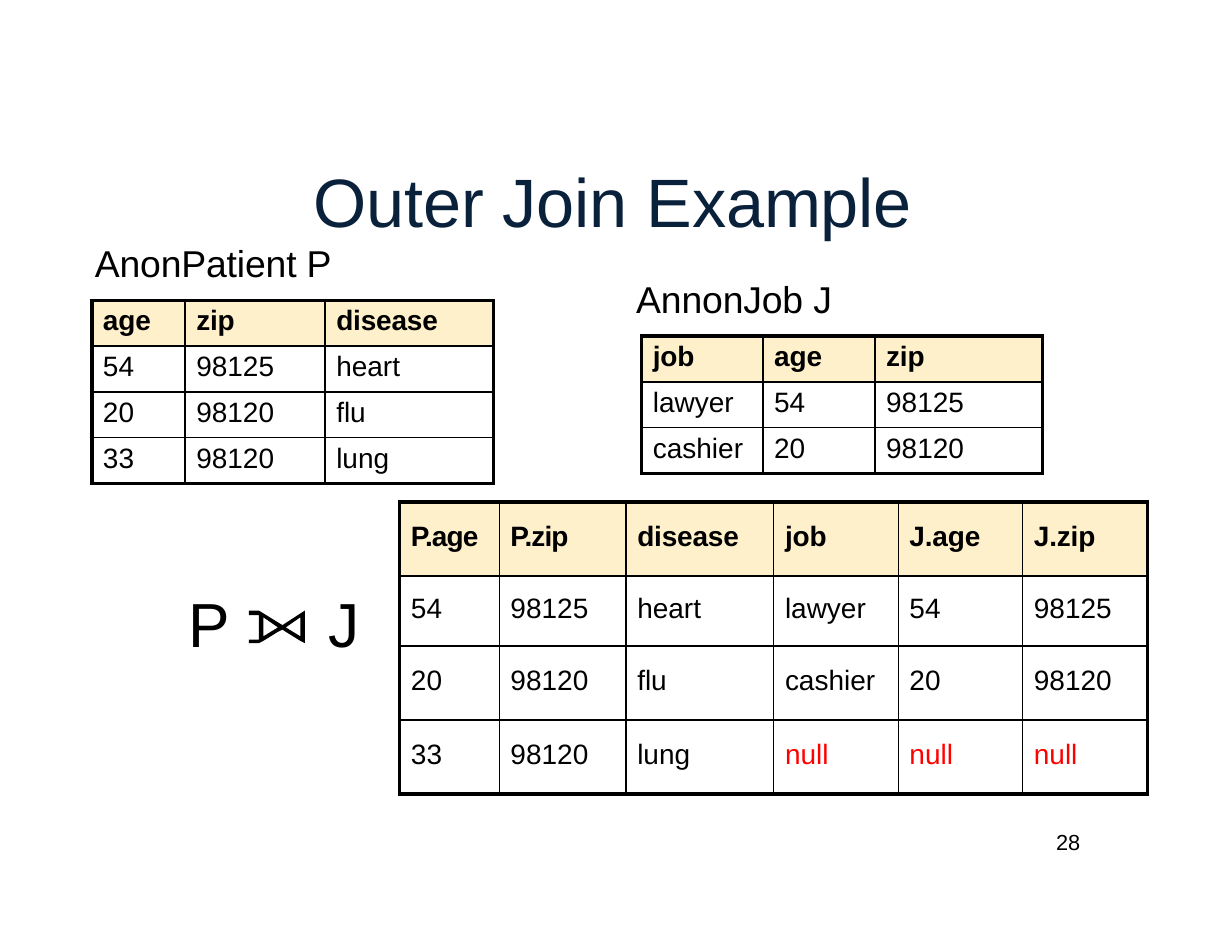
"""Build the outer join example slide: two source tables and their join."""
import pptx
import pptx.dml.color
import pptx.enum.text
import pptx.oxml.ns
import pptx.util
from lxml import etree

Pt = pptx.util.Pt
RGB = pptx.dml.color.RGBColor
ANCHOR = pptx.enum.text.MSO_ANCHOR
qn = pptx.oxml.ns.qn
BLACK = RGB(0x00, 0x00, 0x00)
NAVY = RGB(0x09, 0x21, 0x3B)
CREAM = RGB(0xFF, 0xF0, 0xCC)
RED = RGB(0xFF, 0x00, 0x00)


def style(frame, size, color=BLACK, space=0, bold=False):
    """Format the text of a frame without side margins."""
    frame.margin_left = frame.margin_right = frame.margin_bottom = 0
    for run in frame.paragraphs[0].runs:
        run.font.name = "Arial"
        run.font.size = Pt(size)
        run.font.bold = bold
        run.font.color.rgb = color
        run.font._element.set("spc", str(space))


def edge(cell, side, width):
    """Draw one black border of a cell."""
    props = cell._tc.get_or_add_tcPr()
    line = etree.Element(qn("a:ln" + side), w=str(Pt(width)))
    fill = etree.SubElement(line, qn("a:solidFill"))
    etree.SubElement(fill, qn("a:srgbClr"), val=str(BLACK))
    props.insert("LRTB".index(side), line)


deck = pptx.Presentation()
deck.slide_width, deck.slide_height = Pt(792), Pt(612)
slide = deck.slides.add_slide(deck.slide_layouts[5])

title = slide.shapes.title
title.left, title.top, title.width, title.height = Pt(201.5), Pt(100), Pt(389), Pt(55)
frame = title.text_frame
frame.text = "Outer Join Example"
frame.margin_top = 0
frame.word_wrap = False
frame.vertical_anchor = ANCHOR.BOTTOM
frame.paragraphs[0].alignment = pptx.enum.text.PP_ALIGN.LEFT
frame.paragraphs[0].line_spacing = 1.0
style(frame, 44, NAVY, -10)

labels = [
    ("AnonPatient P", 61, 152, 156, 31, 24, -10),
    ("AnnonJob J", 409, 175.5, 129, 31, 24, -10),
    ("P\tJ", 121, 373.5, 111, 50.5, 40, 0),
    ("28", 679, 531.5, 21, 18, 14, -10),
]
for text, left, top, width, height, size, space in labels:
    box = slide.shapes.add_textbox(Pt(left), Pt(top), Pt(width), Pt(height))
    frame = box.text_frame
    frame.text = text
    frame.word_wrap = True
    frame.margin_top = 0
    frame.vertical_anchor = ANCHOR.BOTTOM
    style(frame, size, space=space)
    if "\t" in text:
        tabs = etree.SubElement(frame.paragraphs[0]._p.get_or_add_pPr(), qn("a:tabLst"))
        etree.SubElement(tabs, qn("a:tab"), pos=str(Pt(90)), algn="l")

bowtie = [
    [(50, 29), (50, 0), (30, 13), (9, 0), (0, 0), (0, 4), (9, 4), (9, 29), (13, 27),
     (13, 6), (26, 15), (26, 19), (30, 17), (33, 19), (33, 15), (46, 6), (46, 27)],
    [(9, 29), (9, 26), (0, 26), (0, 29)],
    [(26, 19), (26, 15), (13, 23), (13, 27)],
    [(46, 27), (46, 23), (33, 15), (33, 19)],
]
pen = slide.shapes.build_freeform(*bowtie[0][0], scale=Pt(0.72))
for part in bowtie:
    if part is not bowtie[0]:
        pen.move_to(*part[0])
    pen.add_line_segments(part[1:], close=True)
join = pen.convert_to_shape(Pt(160), Pt(392.5))
join.shadow.inherit = False
join.fill.solid()
join.fill.fore_color.rgb = BLACK
join.line.fill.background()

tables = [
    (59, 193, [60, 90, 108], [29.5] * 4, [3, 1.5, 1, 2.25], [2.25, 1, 1, 1, 2.25],
     ["age zip disease", "54 98125 heart", "20 98120 flu", "33 98120 lung"]),
    (412.5, 216, [78, 72, 108], [29.5] * 3, [2.25, 1, 1, 2.25], [2.25, 1, 1, 2.25],
     ["job age zip", "lawyer 54 98125", "cashier 20 98120"]),
    (257, 322.5, [64, 81.5, 95, 80, 80, 80], [47.5, 45.5, 47.5, 47.5],
     [2.25, 1, 1, 1, 1, 1, 2.25], [3, 1.5, 1.5, 1.5, 3],
     ["P.age P.zip disease job J.age J.zip", "54 98125 heart lawyer 54 98125",
      "20 98120 flu cashier 20 98120", "33 98120 lung null null null"]),
]
for left, top, cols, rows, uprights, levels, data in tables:
    grid = slide.shapes.add_table(len(rows), len(cols), Pt(left), Pt(top),
                                  Pt(sum(cols)), Pt(sum(rows))).table
    grid.first_row = grid.horz_banding = False
    for c, width in enumerate(cols):
        grid.columns[c].width = Pt(width)
    for r, height in enumerate(rows):
        grid.rows[r].height = Pt(height)
        for c, text in enumerate(data[r].split()):
            cell = grid.cell(r, c)
            head = r == 0
            cell.text_frame.text = text
            space = -60 if text.startswith("P.") else -10 if head else 0
            style(cell.text_frame, 18, RED if text == "null" else BLACK, space, head)
            cell.margin_left, cell.margin_right = Pt(7.2), 0
            cell.margin_top, cell.margin_bottom = Pt((height - 23) / 2), 0
            if head:
                cell.fill.solid()
                cell.fill.fore_color.rgb = CREAM
            else:
                cell.fill.background()
            edge(cell, "L", uprights[c])
            edge(cell, "R", uprights[c + 1])
            edge(cell, "T", levels[r])
            edge(cell, "B", levels[r + 1])

deck.save("out.pptx")
